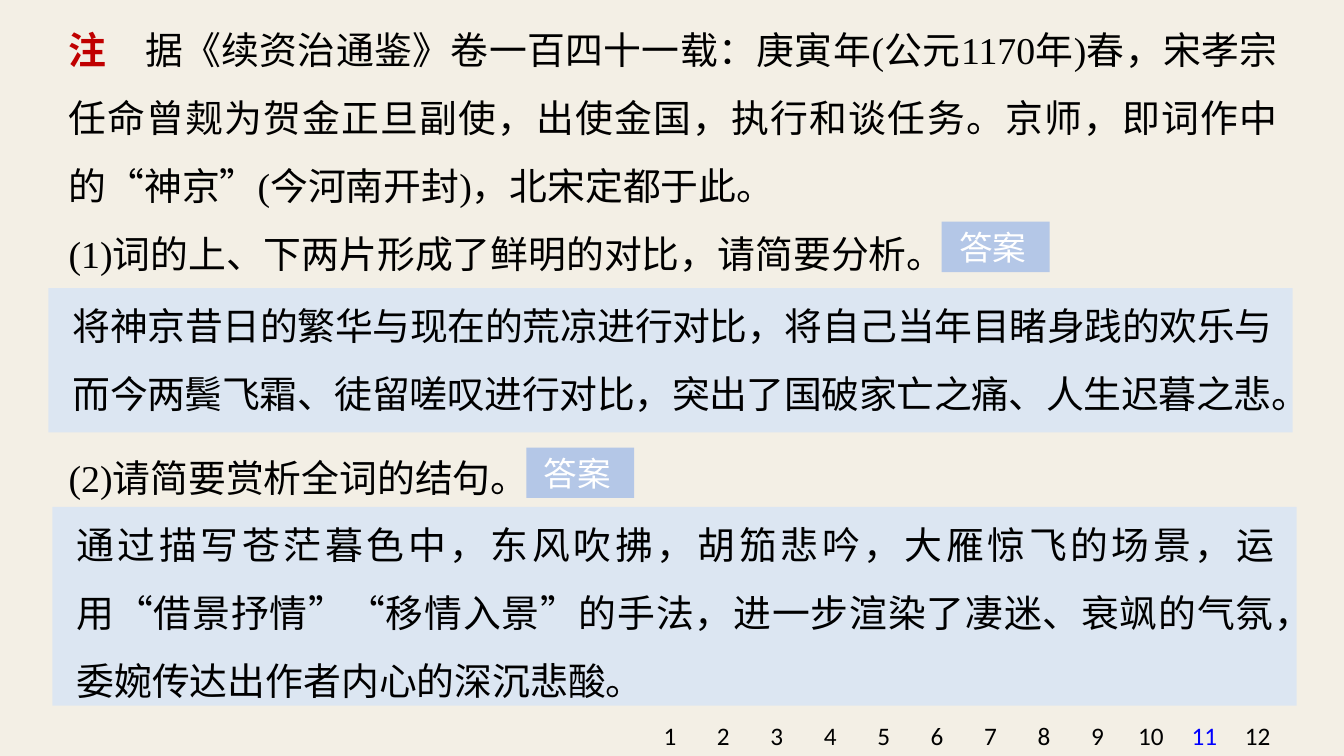
"""Build the answer slide for the ci poem: note, two questions, answers and page numbers."""
from pptx import Presentation
from pptx.dml.color import RGBColor
from pptx.enum.shapes import MSO_SHAPE as SHAPE
from pptx.enum.text import MSO_ANCHOR as ANCHOR, MSO_AUTO_SIZE as AUTO, PP_ALIGN as ALIGN
from pptx.util import Inches, Pt

BLACK = RGBColor(0, 0, 0)
WHITE = RGBColor(255, 255, 255)
RED = RGBColor(0xC0, 0, 0)
BLUE = RGBColor(0, 0, 255)
CREAM = RGBColor(0xF3, 0xEF, 0xE5)
PANEL = RGBColor(0xDC, 0xE6, 0xF2)
BUTTON = RGBColor(0xB4, 0xC7, 0xE7)
CELL = Inches(0.01)
COLS, ROWS = 1333, 750
SERIF, QUOTE = "Times New Roman", "Noto Sans CJK SC"

prs = Presentation()
prs.slide_width, prs.slide_height = COLS * CELL, ROWS * CELL
s = prs.slides.add_slide(prs.slide_layouts[6])
s.background.fill.solid()
s.background.fill.fore_color.rgb = CREAM


def add_box(box, fill=None, **frame):
    """Add a filled rectangle or a text box on the grid and return its text frame."""
    place = [n * CELL for n in box]
    if fill is None:
        sp = s.shapes.add_textbox(*place)
        frame = dict(margin_left=13 * CELL, margin_right=13 * CELL,
                     margin_top=7 * CELL, margin_bottom=7 * CELL) | frame
    else:
        sp = s.shapes.add_shape(SHAPE.RECTANGLE, *place)
        sp.shadow.inherit = False
        sp.fill.solid()
        sp.fill.fore_color.rgb = fill
        sp.line.fill.background()
    for key, value in ({"word_wrap": True} | frame).items():
        setattr(sp.text_frame, key, value)
    return sp.text_frame


def add_runs(p, texts, color=BLACK, align=ALIGN.JUSTIFY, spacing=1.5, **fmt):
    """Fill a paragraph with runs, giving quotation marks their own font."""
    p.alignment, p.line_spacing = align, spacing
    for text in texts:
        r = p.add_run()
        r.text = text
        font = {"size": Pt(27), "name": QUOTE if text[0] in "“”" else SERIF} | fmt
        for key, value in font.items():
            setattr(r.font, key, value)
        r.font.color.rgb = color


tf = add_box((55, -3, 1225, 511), auto_size=AUTO.SHAPE_TO_FIT_TEXT)
p = tf.paragraphs[0]
add_runs(p, ["注"], RED, bold=True)
add_runs(p, ["　据《续资治通鉴》卷一百四十一载：庚寅年(公元1170年)春，宋孝宗任命曾觌为贺金正旦副使，"
             "出使金国，执行和谈任务。京师，即词作中的",
             "“", "神京", "”", "(今河南开封)，北宋定都于此。"])
add_runs(tf.add_paragraph(), ["(1)词的上、下两片形成了鲜明的对比，请简要分析。"])
p = tf.add_paragraph()
p.space_before = Pt(111)
add_runs(p, ["(2)请简要赏析全词的结句。"])

answers = [
    ((48, 286, 1234, 143), (934, 220, 107, 50), (59, 271, 1214, 141), -100,
     ["将神京昔日的繁华与现在的荒凉进行对比，将自己当年目睹身践的欢乐与而今两鬓飞霜、"
      "徒留嗟叹进行对比，突出了国破家亡之痛、人生迟暮之悲。"]),
    ((52, 503, 1234, 197), (522, 444, 107, 50), (63, 488, 1214, 216), 0,
     ["通过描写苍茫暮色中，东风吹拂，胡笳悲吟，大雁惊飞的场景，运用", "“", "借景抒情", "”“",
      "移情入景", "”", "的手法，进一步渲染了凄迷、衰飒的气氛，委婉传达出作者内心的深沉悲酸。"]),
]
for panel, button, box, tracking, texts in answers:
    add_box(panel, PANEL)
    tf = add_box(button, BUTTON, vertical_anchor=ANCHOR.MIDDLE)
    add_runs(tf.paragraphs[0], [" 答案"], WHITE, ALIGN.LEFT, 1.0, size=Pt(24), name="Arial")
    p = add_box(box, auto_size=AUTO.SHAPE_TO_FIT_TEXT).paragraphs[0]
    add_runs(p, texts)
    for r in p.runs:
        if tracking:
            r.font._element.set("spc", str(tracking))

for number in range(1, 13):
    tf = add_box((643 + 53 * (number - 1), 698, 43, 63), word_wrap=False,
                 vertical_anchor=ANCHOR.MIDDLE, margin_left=0, margin_right=0)
    add_runs(tf.paragraphs[0], [str(number)], BLUE if number == 11 else BLACK,
             ALIGN.CENTER, 1.0, size=Pt(18), name="Calibri")

prs.save("out.pptx")
